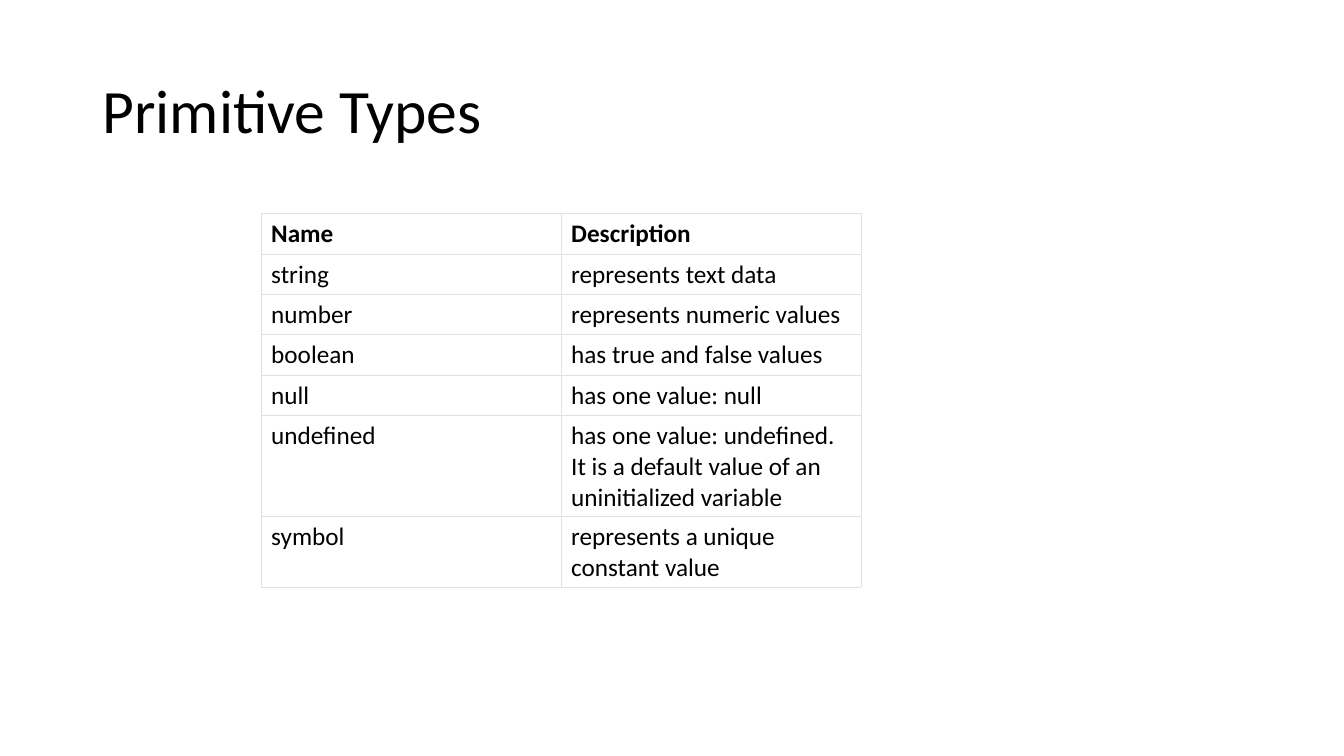
from dataclasses import dataclass
from lxml.etree import SubElement as Sub
from pptx import Presentation as Deck
from pptx.dml.color import RGBColor as Color
from pptx.enum.text import MSO_ANCHOR as Anchor
from pptx.oxml.ns import qn
from pptx.util import Inches, Pt


@dataclass(frozen=True)
class Theme:
    font: str = "Calibri"
    ink: str = "000000"
    paper: str = "FFFFFF"
    rule: str = "DEE2E6"
    title: int = 44
    body: int = 18
    line: float = 0.6


class Page:
    def __init__(self, deck, theme):
        self.theme = theme
        self.wide, self.high = deck.slide_width, deck.slide_height
        self.slide = deck.slides.add_slide(deck.slide_layouts[6])

    def box(self, left, top, width, height):
        return (int(left * self.wide / 100), int(top * self.high / 100),
                int(width * self.wide / 100), int(height * self.high / 100))

    def label(self, frame, text, size, bold=False):
        para = frame.paragraphs[0]
        para.text = text
        font = para.font
        font.name, font.size, font.bold = self.theme.font, Pt(size), bold
        font.color.rgb = Color.from_string(self.theme.ink)
        return para

    def title(self, text, *area):
        frame = self.slide.shapes.add_textbox(*self.box(*area)).text_frame
        frame.word_wrap = True
        frame.vertical_anchor = Anchor.MIDDLE
        self.label(frame, text, self.theme.title).line_spacing = 0.9

    def border(self, cell):
        props = cell._tc.get_or_add_tcPr()
        for side in ("a:lnL", "a:lnR", "a:lnT", "a:lnB"):
            edge = Sub(props, qn(side), w=str(Pt(self.theme.line)))
            Sub(Sub(edge, qn("a:solidFill")), qn("a:srgbClr"), val=self.theme.rule)

    def table(self, data, lines, *area):
        grid = self.slide.shapes.add_table(len(data), len(data[0]), *self.box(*area)).table
        for row, count in zip(grid.rows, lines):
            row.height = Inches(0.1 + 0.3 * count)
        for r, row in enumerate(data):
            for c, text in enumerate(row):
                cell = grid.cell(r, c)
                self.label(cell.text_frame, text, self.theme.body, r == 0)
                self.border(cell)
                cell.fill.solid()
                cell.fill.fore_color.rgb = Color.from_string(self.theme.paper)


TYPES = [
    ("Name", "Description"),
    ("string", "represents text data"),
    ("number", "represents numeric values"),
    ("boolean", "has true and false values"),
    ("null", "has one value: null"),
    ("undefined", "has one value:\u00a0undefined. It is a default value of an uninitialized variable"),
    ("symbol", "represents a unique constant value"),
]
LINES = [1, 1, 1, 1, 1, 3, 2]

deck = Deck()
deck.slide_width, deck.slide_height = Inches(13.33), Inches(7.5)
page = Page(deck, Theme())
page.title("Primitive Types", 6.9, 5.33, 86.27, 19.33)
page.table(TYPES, LINES, 19.43, 28.27, 44.64, 49.33)
deck.save("out.pptx")
